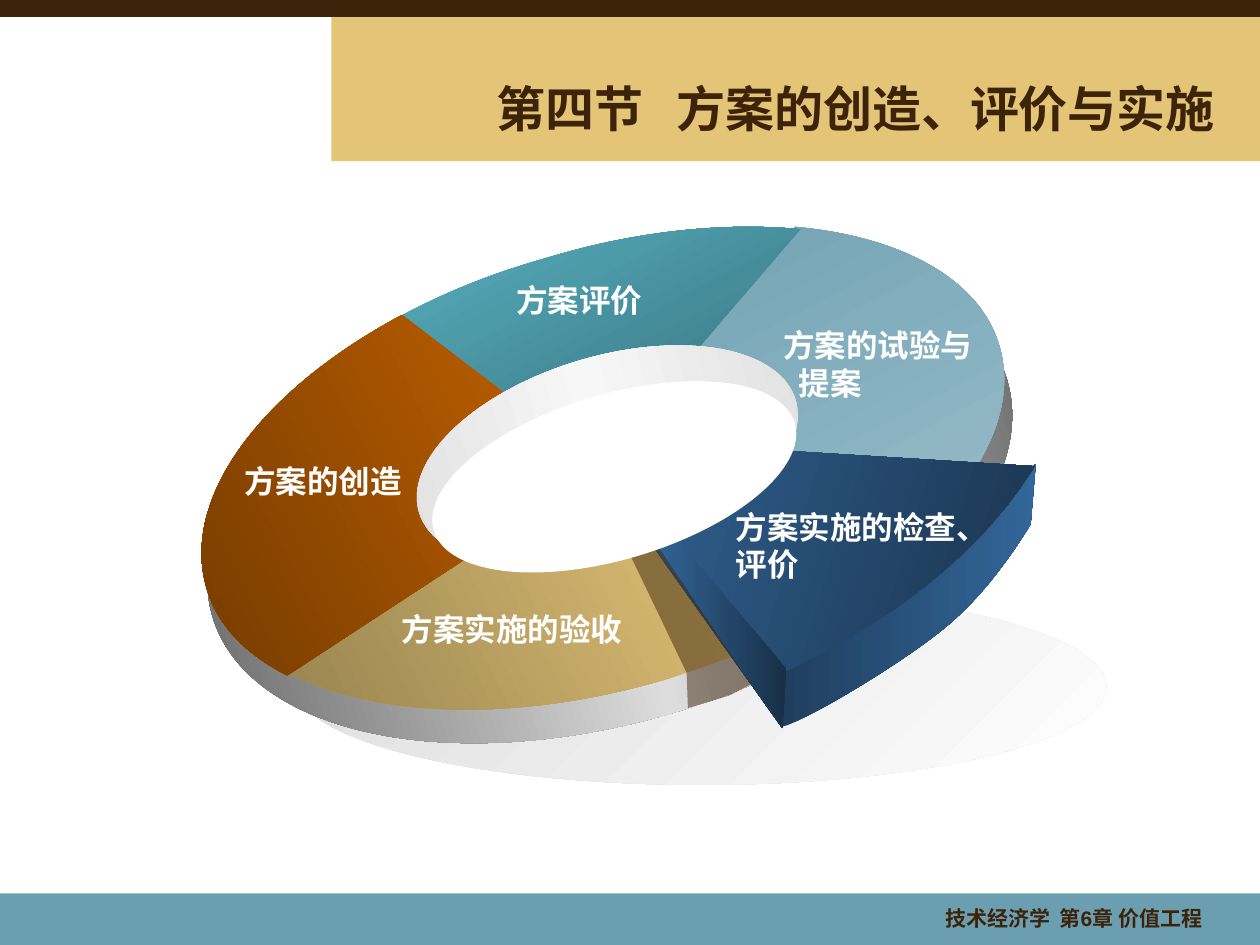
"""Build the slide on creating, evaluating and implementing proposals."""
import math
from lxml import etree
from pptx import Presentation
from pptx import util as u
from pptx.dml.color import RGBColor
from pptx.enum import shapes, text
from pptx.oxml import ns

THEME = dict(
    font="Arial", title_size=28, label_size=18, footer_size=12,
    sand="E4C578", blue="6A9EB0", brown="3C230A", white="FFFFFF",
)
TILT = 343.4
FLOOR = ([(0, "DDDDDD"), (100, "FEFEFE")], 45)
RIM = ([(0, "575757"), (50, "DDDDDD"), (100, "575757")], 0)
DISC = ([(0, "2791BB"), (100, "000000")], 62)
INNER = ([(0, "DDDDDD"), (50, "F7F7F7"), (100, "DDDDDD")], 0)
PALE = ([(0, THEME["blue"]), (100, "9CBECA")], 79)
GOLD = ([(0, THEME["sand"]), (100, "8B7849")], 169)
TEAL = ([(0, "5CB8CA"), (100, "30616A")], 79)
ORANGE = ([(0, "CC6600"), (100, "6F3800")], 169)
NAVY = [(0, "336699"), (100, "182F47")]
NAVY_EDGE = ([(0, "1F3E5D"), (100, "336699")], 0)

BARS = [
    ((2.63, 0.13, 7.37, 1.15), THEME["sand"]),
    ((0, 7.09, 10, 0.44), THEME["blue"]),
    ((0, 0, 10, 0.13), THEME["brown"]),
]
BASE_ELLIPSES = [
    ((2.35, 4.67, 6.43, 1.56), FLOOR, 0),
    ((1.55, 2.18, 6.58, 3.55), RIM, TILT),
    ((1.57, 1.99, 6.43, 3.44), DISC, TILT),
]
RING_SECTORS = [
    ((4.65, 1.86, 3.29, 2.32), PALE, TILT,
     [(6.31, 1.8), (7.18, 1.88, 7.78, 2.23, 7.93, 2.74),
      (8.03, 3.07, 7.94, 3.44, 7.68, 3.81), (4.77, 3.69)]),
    ((1.86, 4.07, 3.79, 1.74), GOLD, TILT,
     [(1.74, 4.84), (2.18, 5.63, 3.7, 5.86, 5.29, 5.39),
      (5.47, 5.33, 5.64, 5.27, 5.81, 5.21), (4.79, 3.72)]),
    ((2.94, 1.96, 3.62, 1.67), TEAL, TILT,
     [(2.84, 2.71), (3.26, 2.44, 3.76, 2.21, 4.3, 2.06),
      (5, 1.84, 5.73, 1.76, 6.35, 1.82), (4.77, 3.66)]),
    ((1.46, 2.58, 3.29, 2.49), ORANGE, TILT,
     [(3.19, 2.5), (2.05, 3.11, 1.43, 3.97, 1.64, 4.67),
      (1.72, 4.95, 1.94, 5.19, 2.28, 5.36), (4.79, 3.72)]),
]
HOLE_WALL = ((3.26, 2.83, 3.12, 1.58), INNER, TILT)
PULLED_SECTOR = [
    ((6.17, 3.68, 2.05, 2.09), NAVY_EDGE, 0,
     [(6.21, 5.33), (8.22, 3.68), (8.18, 4.16),
      (8.05, 4.37, 7.82, 4.72, 7.49, 4.99),
      (7.16, 5.26, 6.42, 5.71, 6.2, 5.77),
      (6.17, 5.61, 6.21, 5.33, 6.21, 5.33)]),
    ((5.09, 2.96, 3.15, 2.19), (NAVY, 35), 342.3,
     [(8.21, 3.7), (7.81, 4.36, 7.06, 4.97, 6.11, 5.38), (4.83, 3.49)]),
    ((5.17, 4.24, 1.07, 1.54), (NAVY, 0), 0,
     [(6.24, 5.31), (6.21, 5.78), (5.17, 4.32), (5.34, 4.24)]),
]
SECTOR_SHADE = ((4.99, 4.32, 0.97, 1.31), THEME["brown"], 0,
                [(4.99, 4.38), (5.45, 5.34), (5.46, 5.62), (5.79, 5.52),
                 (5.96, 5.43), (5.21, 4.32)])
HOLE = ((3.38, 3.13, 2.99, 1.31), THEME["white"], TILT)

TITLE = "第四节   方案的创造、评价与实施"
FOOTER = "技术经济学  第6章 价值工程"
LABELS = [
    ((1.84, 3.62, 1.45, 0.4), ["方案的创造"], 0),
    ((4, 2.18, 1.81, 0.7), ["方案评价"], 0),
    ((6.12, 2.54, 1.7, 0.7), ["方案的试验与", "提案"], 0.12),
    ((5.74, 3.98, 2.2, 0.7), ["方案实施的检查、", "评价"], 0),
    ((3.09, 4.79, 1.95, 0.4), ["方案实施的验收"], 0),
]


def paint(shape, fill, opacity=100):
    """Fill a shape with a colour or a (stops, angle) gradient, without outline."""
    shape.shadow.inherit = False
    shape.line.fill.background()
    if isinstance(fill, str):
        shape.fill.solid()
        shape.fill.fore_color.rgb = RGBColor.from_string(fill)
        if opacity < 100:
            color = shape._element.spPr.find(".//" + ns.qn("a:srgbClr"))
            etree.SubElement(color, ns.qn("a:alpha"), val=str(opacity * 1000))
        return
    stops, angle = fill
    shape.fill.gradient()
    gradient = shape._element.spPr.find(ns.qn("a:gradFill"))
    gradient.set("rotWithShape", "1")
    for child in list(gradient):
        gradient.remove(child)
    stop_list = etree.SubElement(gradient, ns.qn("a:gsLst"))
    for position, color in stops:
        stop = etree.SubElement(stop_list, ns.qn("a:gs"), pos=str(position * 1000))
        etree.SubElement(stop, ns.qn("a:srgbClr"), val=color)
    etree.SubElement(gradient, ns.qn("a:lin"), ang=str(angle * 60000), scaled="0")


def add_preset(slide, kind, box, fill, rotation=0):
    """Add a painted preset shape."""
    shape = slide.shapes.add_shape(kind, *map(u.Inches, box))
    shape.rotation = rotation
    paint(shape, fill)
    return shape


def add_outline(slide, box, fill, rotation, route, opacity=100):
    """Add a closed freeform whose route is given as it appears after rotation."""
    left, top, width, height = box
    cosine, sine = math.cos(math.radians(rotation)), math.sin(math.radians(rotation))

    def local(x, y):
        dx, dy = x - left - width / 2, y - top - height / 2
        return (u.Inches(width / 2 + dx * cosine + dy * sine),
                u.Inches(height / 2 - dx * sine + dy * cosine))

    segments = [[local(*pair) for pair in zip(step[::2], step[1::2])] for step in route]
    builder = slide.shapes.build_freeform(*segments[0][0], scale=1.0)
    builder.add_line_segments([segment[-1] for segment in segments[1:]], close=True)
    shape = builder.convert_to_shape()
    shape.left, shape.top, shape.width, shape.height = map(u.Inches, box)
    shape.rotation = rotation

    outline = shape._element.spPr.find(".//" + ns.qn("a:path"))
    outline.set("w", str(shape.width))
    outline.set("h", str(shape.height))
    for child in list(outline):
        outline.remove(child)
    for index, segment in enumerate(segments):
        tag = "a:moveTo" if index == 0 else "a:lnTo" if len(segment) == 1 else "a:cubicBezTo"
        command = etree.SubElement(outline, ns.qn(tag))
        for x, y in segment:
            etree.SubElement(command, ns.qn("a:pt"), x=str(x), y=str(y))
    etree.SubElement(outline, ns.qn("a:close"))
    paint(shape, fill, opacity)


def write(shape, lines, size, color, align=text.PP_ALIGN.LEFT, wrap=True,
          anchor=text.MSO_ANCHOR.TOP, last_indent=0, right_inset=0.1):
    """Write formatted paragraphs into a shape."""
    frame = shape.text_frame
    frame.text = "\n".join(lines)
    frame.word_wrap = wrap
    frame.auto_size = text.MSO_AUTO_SIZE.NONE
    frame.vertical_anchor = anchor
    frame.margin_right = u.Inches(right_inset)
    for paragraph in frame.paragraphs:
        paragraph.alignment = align
        font = paragraph.runs[0].font
        font.name, font.size, font.bold = THEME["font"], u.Pt(size), True
        font.color.rgb = RGBColor.from_string(color)
    if last_indent:
        properties = frame.paragraphs[-1]._p.get_or_add_pPr()
        properties.set("marL", str(u.Inches(last_indent)))


def main():
    """Assemble and save the slide."""
    presentation = Presentation()
    presentation.slide_width, presentation.slide_height = u.Inches(10), u.Inches(7.5)
    slide = presentation.slides.add_slide(presentation.slide_layouts[5])
    preset = shapes.MSO_SHAPE

    for box, fill in BARS:
        bar = add_preset(slide, preset.RECTANGLE, box, fill)
    bar.line.color.rgb = RGBColor.from_string(THEME["brown"])
    bar.line.width = u.Pt(0.75)

    footer = slide.shapes.add_textbox(*map(u.Inches, (6.18, 7.14, 3.46, 0.33)))
    write(footer, [FOOTER], THEME["footer_size"], THEME["brown"], text.PP_ALIGN.RIGHT)
    title = slide.shapes.title
    title.left, title.top, title.width, title.height = map(u.Inches, (2.92, 0.55, 6.92, 0.62))
    write(title, [TITLE], THEME["title_size"], THEME["brown"], text.PP_ALIGN.RIGHT,
          anchor=text.MSO_ANCHOR.MIDDLE, right_inset=0.2)
    slide.shapes._spTree.append(title._element)

    for ellipse in BASE_ELLIPSES:
        add_preset(slide, preset.OVAL, *ellipse)
    for sector in RING_SECTORS:
        add_outline(slide, *sector)
    add_preset(slide, preset.OVAL, *HOLE_WALL)
    for face in PULLED_SECTOR:
        add_outline(slide, *face)
    add_outline(slide, *SECTOR_SHADE, opacity=49)
    add_preset(slide, preset.OVAL, *HOLE)

    for box, lines, indent in LABELS:
        label = slide.shapes.add_textbox(*map(u.Inches, box))
        write(label, lines, THEME["label_size"], THEME["white"], wrap=False, last_indent=indent)
    presentation.save("out.pptx")


if __name__ == "__main__":
    main()
